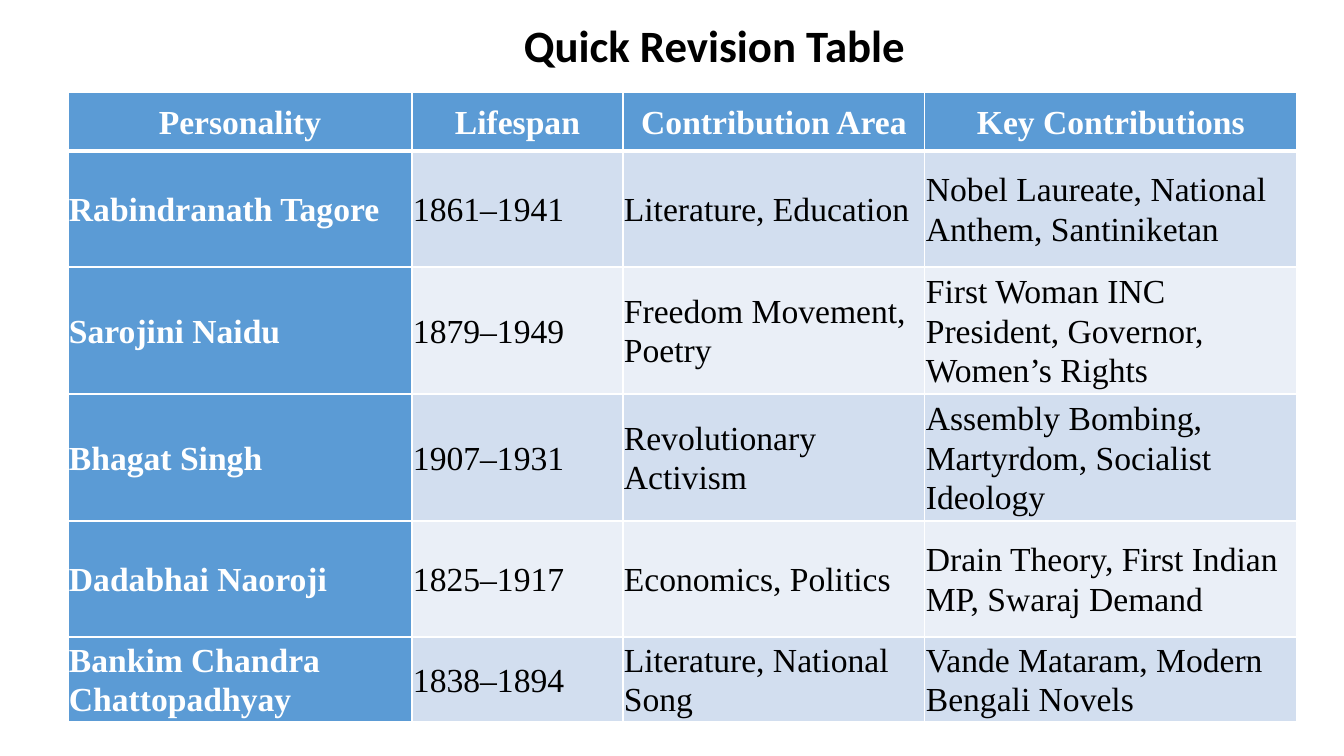
from dataclasses import dataclass
from lxml.etree import fromstring
from pptx import Presentation
from pptx.dml.color import RGBColor
from pptx.enum.text import MSO_ANCHOR, MSO_AUTO_SIZE, PP_ALIGN
from pptx.oxml.ns import nsdecls
from pptx.util import Pt

SCALE = 914400 / 100.8


@dataclass(frozen=True)
class Theme:
    """Colours, fonts and type sizes of the slide."""
    white: str = "FFFFFF"
    black: str = "000000"
    blue: str = "5B9BD5"
    bands: tuple = ("D2DEEF", "EAEFF7")
    head: str = "Calibri"
    body: str = "Times New Roman"
    large: int = 32
    small: int = 24


THEME = Theme()
COLS = (344, 211, 302, 372)
ROWS = (59, 116, 127, 127, 116, 85)
CELLS = (
    ("Personality", "Lifespan", "Contribution Area", "Key Contributions"),
    ("Rabindranath Tagore", "1861–1941", "Literature, Education",
     "Nobel Laureate, National Anthem, Santiniketan"),
    ("Sarojini Naidu", "1879–1949", "Freedom Movement, Poetry",
     "First Woman INC President, Governor, Women’s Rights"),
    ("Bhagat Singh", "1907–1931", "Revolutionary Activism",
     "Assembly Bombing, Martyrdom, Socialist Ideology"),
    ("Dadabhai Naoroji", "1825–1917", "Economics, Politics",
     "Drain Theory, First Indian MP, Swaraj Demand"),
    ("Bankim Chandra Chattopadhyay", "1838–1894", "Literature, National Song",
     "Vande Mataram, Modern Bengali Novels"),
)


def px(size):
    """Turn pixels into EMU."""
    return round(size * SCALE)


def style(para, face, size, tint, bold):
    """Format every run of a paragraph."""
    for run in para.runs:
        run.font.name = face
        run.font.size = Pt(size)
        run.font.bold = bold
        run.font.color.rgb = RGBColor.from_string(tint)


def edge(cell, row):
    """Draw the four white borders, heavy under the header row."""
    props = cell._tc.get_or_add_tcPr()
    widths = {"L": 1, "R": 1, "T": 3 if row == 1 else 1, "B": 3 if row == 0 else 1}
    for spot, (side, width) in enumerate(widths.items()):
        props.insert(spot, fromstring(
            f'<a:ln{side} {nsdecls("a")} w="{Pt(width)}"><a:solidFill>'
            f'<a:srgbClr val="{THEME.white}"/></a:solidFill></a:ln{side}>'))


def title(slide, text, left, top, width, height):
    """Place the centred heading in its box."""
    box = slide.shapes.add_textbox(px(left), px(top), px(width), px(height))
    frame = box.text_frame
    frame.text = text
    frame.word_wrap = False
    frame.auto_size = MSO_AUTO_SIZE.SHAPE_TO_FIT_TEXT
    para = frame.paragraphs[0]
    para.alignment = PP_ALIGN.CENTER
    style(para, THEME.head, THEME.large, THEME.black, True)


def fill(cell, text, row, col):
    """Write and colour one cell by its place in the grid."""
    key = row == 0 or col == 0
    edge(cell, row)
    cell.fill.solid()
    tint = THEME.blue if key else THEME.bands[(row - 1) % 2]
    cell.fill.fore_color.rgb = RGBColor.from_string(tint)
    cell.margin_left = cell.margin_right = px(1)
    cell.margin_top = cell.margin_bottom = px(1)
    cell.vertical_anchor = MSO_ANCHOR.MIDDLE
    cell.text_frame.text = text
    para = cell.text_frame.paragraphs[0]
    para.line_spacing = 1.07
    para.alignment = PP_ALIGN.CENTER if row == 0 else PP_ALIGN.LEFT
    style(para, THEME.body, THEME.small, THEME.white if key else THEME.black, key)


def grid(slide, left, top):
    """Place the revision table with its corner at the given point."""
    table = slide.shapes.add_table(
        len(ROWS), len(COLS), px(left), px(top), px(sum(COLS)), px(sum(ROWS))).table
    table.first_col = True
    for col, width in enumerate(COLS):
        table.columns[col].width = px(width)
    for row, height in enumerate(ROWS):
        table.rows[row].height = px(height)
        for col, text in enumerate(CELLS[row]):
            fill(table.cell(row, col), text, row, col)


def main():
    """Build and save the deck."""
    deck = Presentation()
    deck.slide_width, deck.slide_height = px(1344), px(756)
    slide = deck.slides.add_slide(deck.slide_layouts[6])
    grid(slide, 68, 92)
    title(slide, "Quick Revision Table", 512, 13, 405, 65)
    deck.save("out.pptx")


if __name__ == "__main__":
    main()
